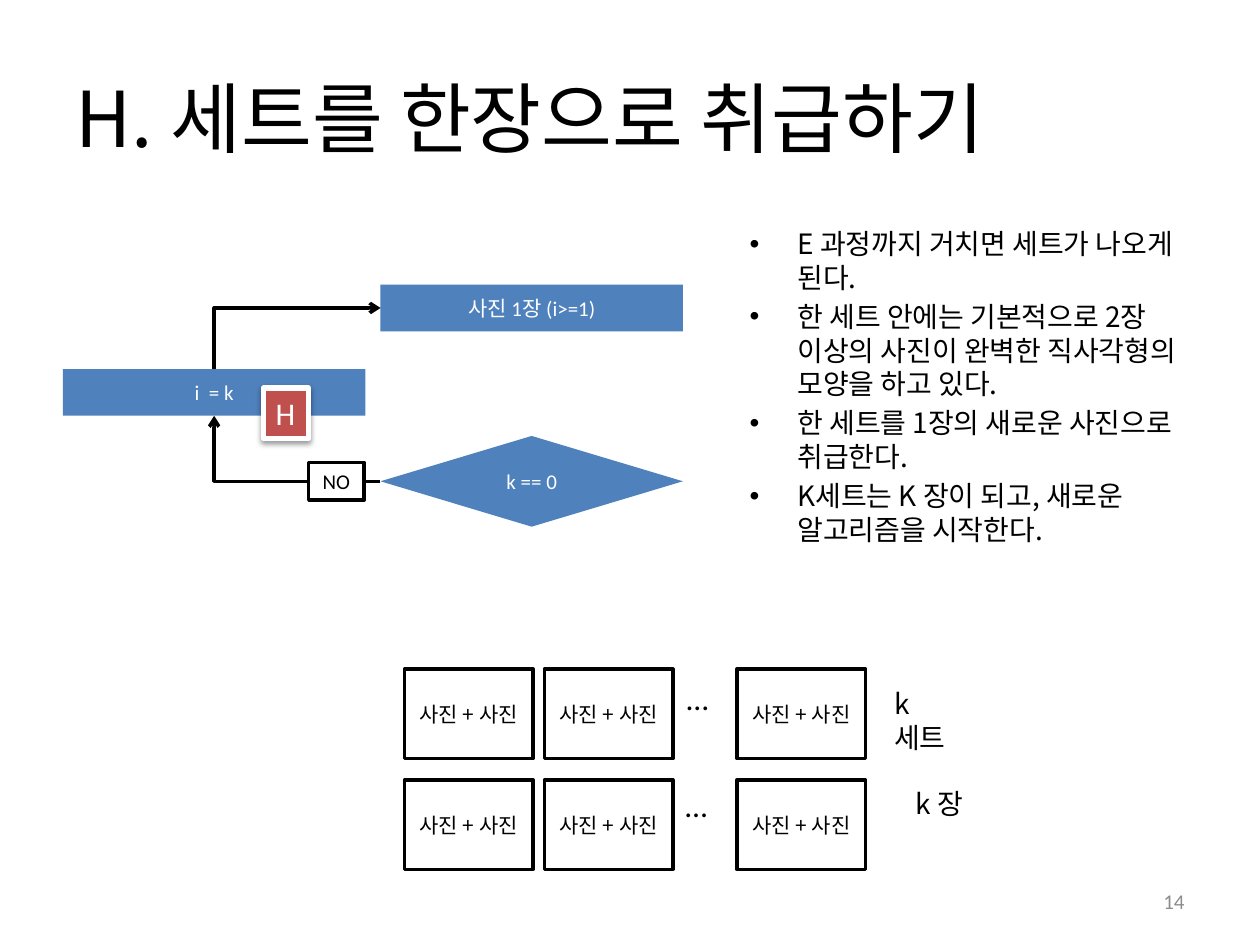
from dataclasses import dataclass
from typing import Optional

import pptx
import pptx.dml.color
import pptx.enum.shapes
import pptx.enum.text
import pptx.oxml
import pptx.oxml.ns
import pptx.util

Inches, Pt = pptx.util.Inches, pptx.util.Pt
qn = pptx.oxml.ns.qn
SHAPE = pptx.enum.shapes.MSO_SHAPE
ALIGN = pptx.enum.text.PP_ALIGN
ANCHOR = pptx.enum.text.MSO_ANCHOR
A_NS = "http://schemas.openxmlformats.org/drawingml/2006/main"


@dataclass(frozen=True)
class Theme:
    blue: str = "4F81BD"
    red: str = "C0504D"
    black: str = "000000"
    white: str = "FFFFFF"
    gray: str = "8C8C8C"
    latin: str = "Calibri"
    korean: str = "Noto Sans CJK KR"
    title: int = 44
    large: int = 18
    body: int = 16
    small: int = 12
    line: int = 2


T = Theme()


@dataclass(frozen=True)
class Box:
    """A block of text, with a shape around it when kind is given."""
    text: str
    left: float
    top: float
    width: float
    height: float
    kind: Optional[int] = None
    fill: str = T.white
    line: Optional[str] = None
    line_width: float = T.line
    color: str = T.black
    size: int = T.small
    font: str = T.latin
    align: int = ALIGN.CENTER
    anchor: int = ANCHOR.MIDDLE
    wrap: bool = True


def rgb(value: str):
    return pptx.dml.color.RGBColor.from_string(value)


def write(p, text: str, size: int, color: str, font: str) -> None:
    r = p.add_run()
    r.text = text
    for name, value in {"size": Pt(size), "name": font}.items():
        setattr(r.font, name, value)
    r.font.color.rgb = rgb(color)
    ea = pptx.oxml.parse_xml(f'<a:ea xmlns:a="{A_NS}" typeface="{T.korean}"/>')
    r.font._element.find(qn("a:latin")).addnext(ea)


def place(sp, left: float, top: float, width: float, height: float) -> None:
    for name, value in dict(left=left, top=top, width=width, height=height).items():
        setattr(sp, name, Inches(value))


def draw_box(s, box: Box):
    area = [Inches(v) for v in (box.left, box.top, box.width, box.height)]
    if box.kind is None:
        sp = s.shapes.add_textbox(*area)
    else:
        sp = s.shapes.add_shape(box.kind, *area)
        sp.shadow.inherit = False
        sp.fill.solid()
        sp.fill.fore_color.rgb = rgb(box.fill)
        if box.line:
            sp.line.color.rgb = rgb(box.line)
            sp.line.width = Pt(box.line_width)
        else:
            sp.line.fill.background()
    tf = sp.text_frame
    for name, value in {"word_wrap": box.wrap, "vertical_anchor": box.anchor}.items():
        setattr(tf, name, value)
    p = tf.paragraphs[0]
    p.alignment = box.align
    write(p, box.text, box.size, box.color, box.font)
    return sp


def draw_elbow(s, start, start_site: int, end, end_site: int, rising: bool = False) -> None:
    """One-bend arrow; rising means it leaves upwards and then turns right."""
    c = s.shapes.add_connector(pptx.enum.shapes.MSO_CONNECTOR.ELBOW, 0, 0, 0, 0)
    c.begin_connect(start, start_site)
    c.end_connect(end, end_site)
    spPr = c._element.spPr
    spPr.find(qn("a:prstGeom")).set("prst", "bentConnector2")
    if rising:
        # A quarter turn swaps width and height about the same centre
        left, top, width, height = c.left, c.top, c.width, c.height
        c.left, c.top = left + (width - height) // 2, top + (height - width) // 2
        c.width, c.height = height, width
        for name, value in {"rot": "5400000", "flipH": "1", "flipV": "1"}.items():
            spPr.find(qn("a:xfrm")).set(name, value)
    c.line.color.rgb = rgb(T.black)
    c.line.width = Pt(T.line)
    c.line._get_or_add_ln().append(
        pptx.oxml.parse_xml(f'<a:tailEnd xmlns:a="{A_NS}" type="arrow"/>'))
    spPr.append(pptx.oxml.parse_xml(f'<a:effectLst xmlns:a="{A_NS}"/>'))


def add_shadow(sp) -> None:
    shadow = pptx.oxml.parse_xml(
        f'<a:outerShdw xmlns:a="{A_NS}" blurRad="{Pt(3.1)}" dist="{Pt(1.6)}" '
        f'dir="5400000" rotWithShape="0"><a:srgbClr val="{T.black}">'
        f'<a:alpha val="38000"/></a:srgbClr></a:outerShdw>')
    sp._element.spPr.find(qn("a:effectLst")).append(shadow)


def fill_text(s) -> None:
    # Title
    title = s.shapes.title
    place(title, 0.5, 0.3, 9, 1.25)
    p = title.text_frame.paragraphs[0]
    p.alignment = ALIGN.LEFT
    write(p, "H. 세트를 한장으로 취급하기", T.title, T.black, T.korean)

    # Bullet list
    body = s.placeholders[1]
    place(body, 5.85, 1.75, 3.65, 2.93)
    points = (
        "E 과정까지 거치면 세트가 나오게 된다.",
        "한 세트 안에는 기본적으로 2장 이상의 사진이 완벽한 직사각형의 모양을 하고 있다.",
        "한 세트를 1장의 새로운 사진으로 취급한다.",
        "K세트는 K 장이 되고, 새로운 알고리즘을 시작한다.",
    )
    tf = body.text_frame
    for i, point in enumerate(points):
        p = tf.add_paragraph() if i else tf.paragraphs[0]
        for name, value in {"marL": 0.38, "indent": -0.38}.items():
            p._p.get_or_add_pPr().set(name, str(Inches(value)))
        write(p, point, T.body, T.black, T.korean)


def draw_flow(s) -> None:
    step = dict(width=2.4, fill=T.blue, color=T.white)
    photo = draw_box(s, Box("사진 1장 (i>=1)", 3.02, 2.26, height=0.37,
                            kind=SHAPE.RECTANGLE, **step))
    check = draw_box(s, Box("k == 0", 3.02, 3.46, height=0.72,
                            kind=SHAPE.DIAMOND, **step))
    assign = draw_box(s, Box("i  = k", 0.5, 2.93, height=0.37,
                             kind=SHAPE.RECTANGLE, **step))
    draw_elbow(s, check, 1, assign, 2)
    draw_elbow(s, assign, 0, photo, 1, rising=True)
    draw_box(s, Box("NO", 2.45, 3.67, 0.44, 0.3, SHAPE.RECTANGLE,
                    line=T.black, anchor=ANCHOR.TOP))
    badge = draw_box(s, Box("H", 2.09, 3.08, 0.36, 0.4, SHAPE.RECTANGLE, T.red,
                            T.white, 3, T.white, T.large, align=ALIGN.LEFT,
                            anchor=ANCHOR.TOP, wrap=False))
    add_shadow(badge)


def draw_sets(s) -> None:
    for top in (5.31, 6.19):
        for left in (3.21, 4.32, 5.85):
            draw_box(s, Box("사진 + 사진", left, top, 1.02, 0.71, SHAPE.RECTANGLE,
                            line=T.black, font=T.korean))
    label = dict(align=ALIGN.LEFT, anchor=ANCHOR.TOP)
    for left, top in ((5.35, 5.34), (5.34, 6.19)):
        draw_box(s, Box("…", left, top, 0.45, 0.4, size=T.large, wrap=False, **label))
    for text, left, top, width in (("k 세트", 7, 5.4, 0.77), ("k 장", 7.17, 6.19, 0.58)):
        draw_box(s, Box(text, left, top, width, 0.37, size=T.body, font=T.korean, **label))


def main() -> None:
    prs = pptx.Presentation()
    prs.slide_width, prs.slide_height = Inches(10), Inches(7.5)
    s = prs.slides.add_slide(prs.slide_layouts[1])
    fill_text(s)
    # Slide number
    draw_box(s, Box("14", 7.17, 6.95, 2.33, 0.4, color=T.gray, align=ALIGN.RIGHT))
    draw_flow(s)
    draw_sets(s)
    prs.save("out.pptx")


if __name__ == "__main__":
    main()
